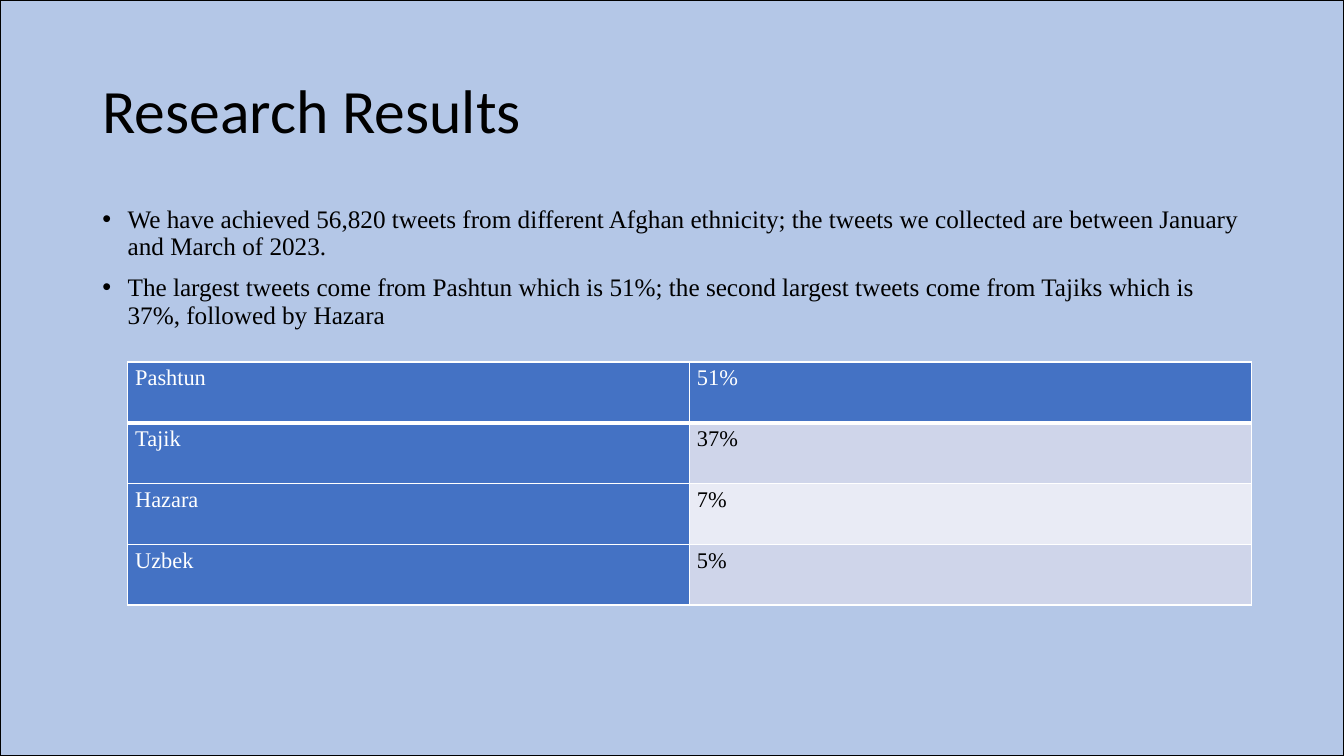
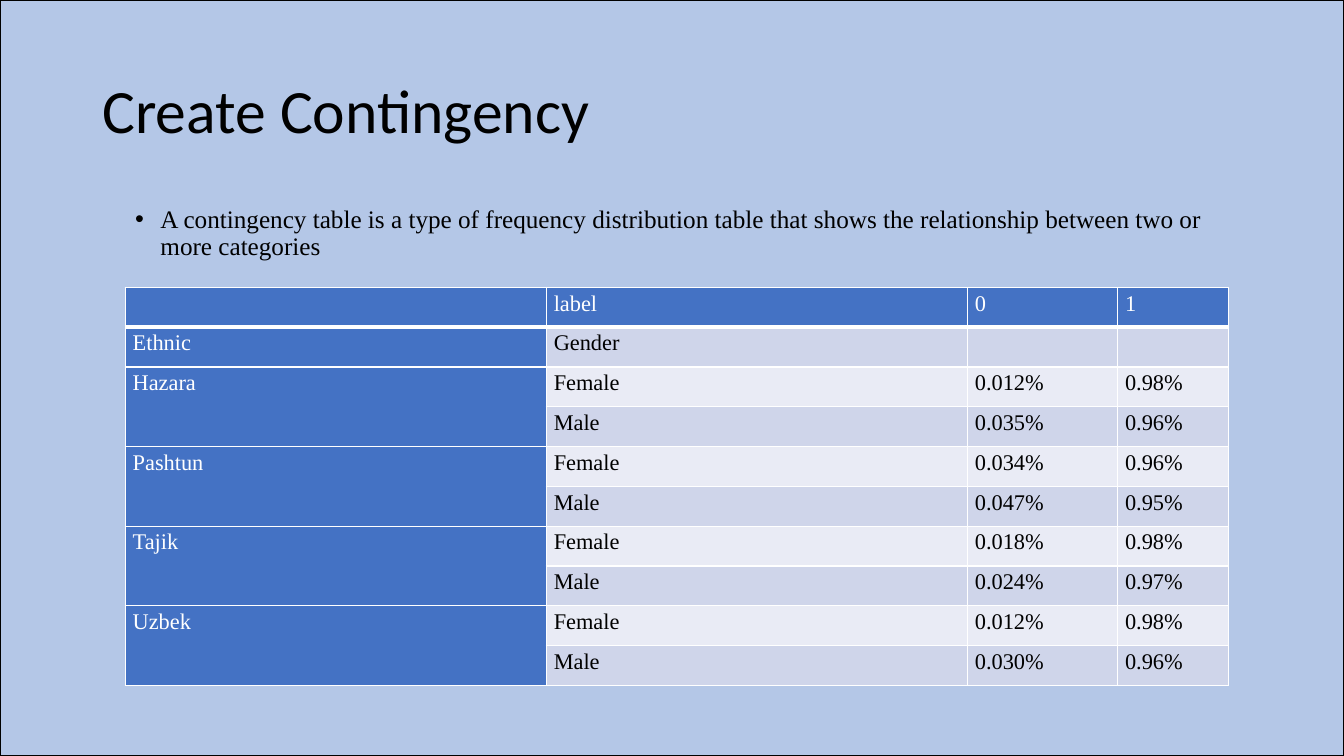
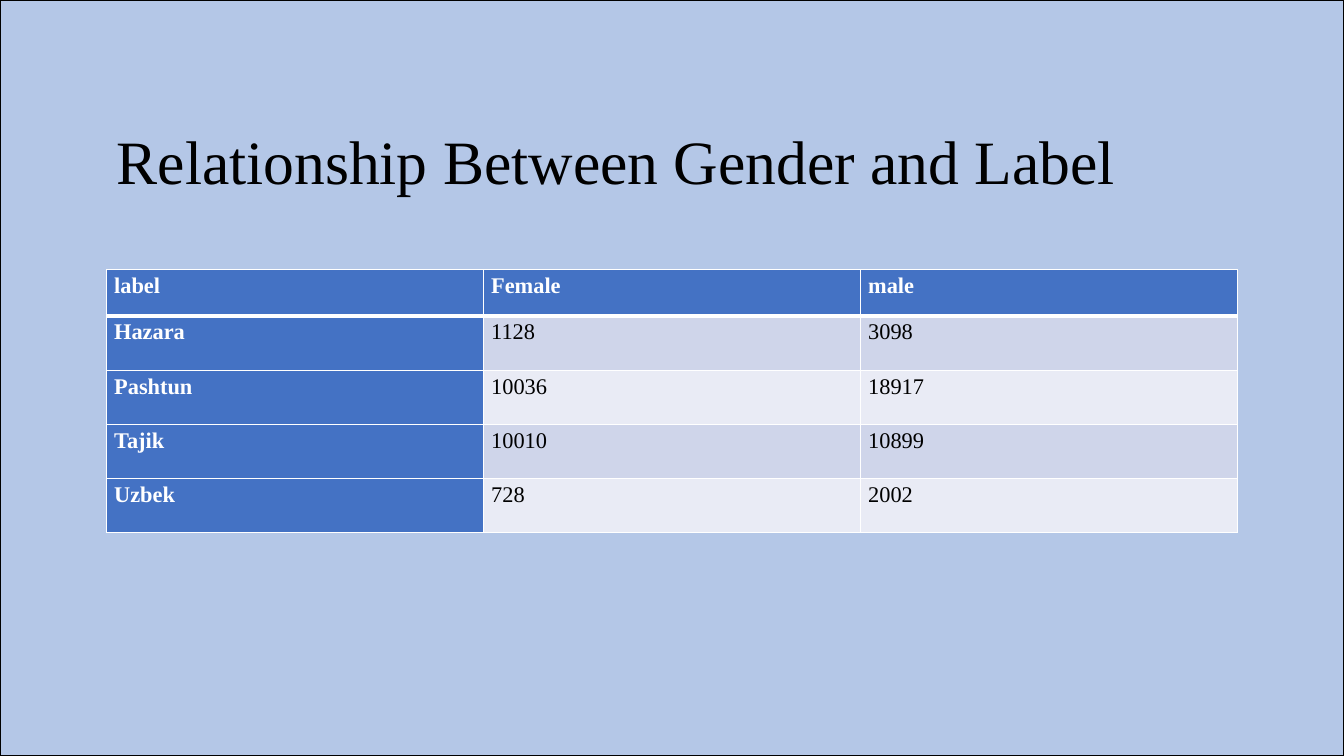
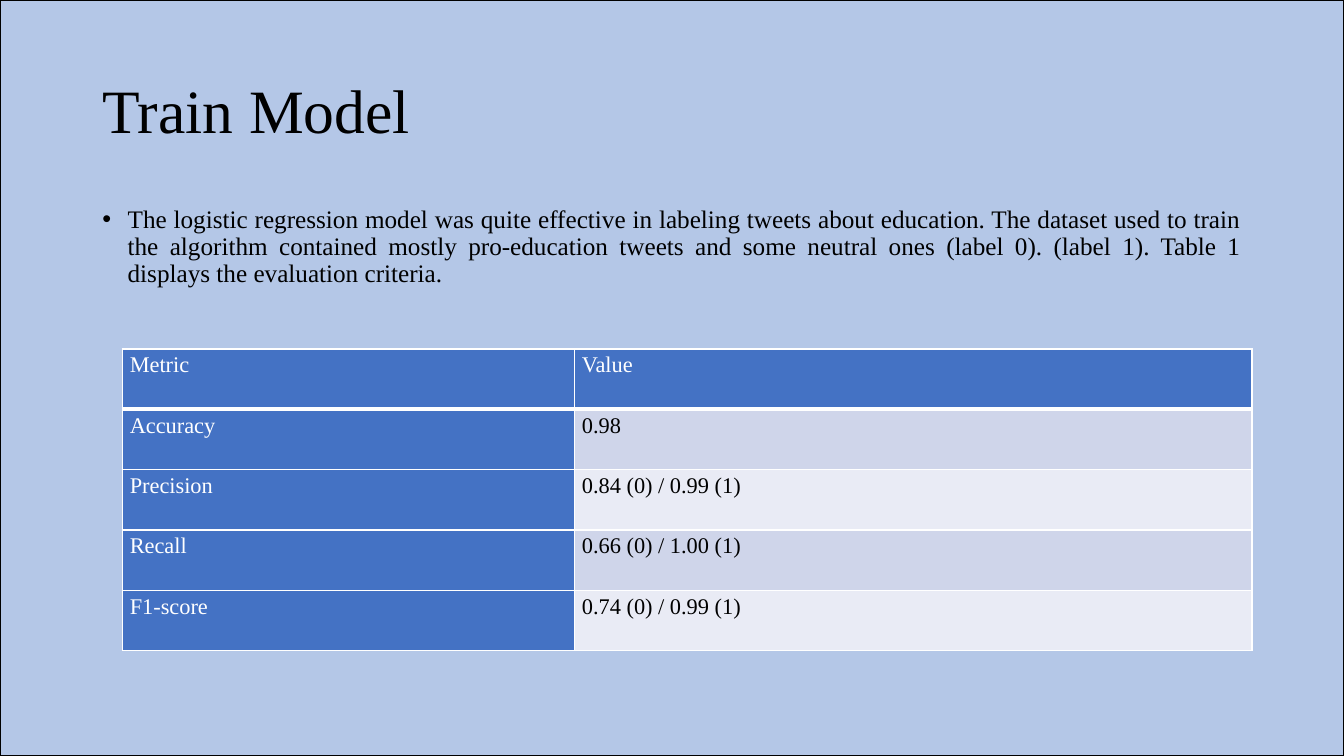
"""Build four slides on the ethnicity, gender and model results of the tweet study."""
from lxml import etree
from pptx import Presentation
from pptx.dml.color import RGBColor
from pptx.enum.shapes import MSO_SHAPE as Preset
from pptx.enum.text import MSO_ANCHOR as Anchor, MSO_AUTO_SIZE as AutoSize, PP_ALIGN as Align
from pptx.oxml import parse_xml
from pptx.oxml.ns import nsdecls, qn
from pptx.util import Pt

COLORS = {
    "backdrop": "B4C7E7",
    "text": "000000",
    "light": "FFFFFF",
    "header": "4472C4",
    "odd": "CFD5EA",
    "even": "E9EBF5",
}
SERIF = "Times New Roman"
SANS = "Calibri"
WIDTH, HEIGHT = 960, 540
TITLE_BOX = (66, 28.8, 828, 104.4)


def color(name):
    return RGBColor.from_string(COLORS[name])


class Deck:
    def __init__(self):
        self.prs = Presentation()
        self.prs.slide_width, self.prs.slide_height = Pt(WIDTH), Pt(HEIGHT)
        self.slide = None

    def add_slide(self, title, layout=1, font=SERIF, box=TITLE_BOX):
        self.slide = self.prs.slides.add_slide(self.prs.slide_layouts[layout])
        heading = self.slide.shapes.title
        backdrop = self.slide.shapes.add_shape(
            Preset.RECTANGLE, 0, 0, Pt(WIDTH), Pt(HEIGHT))
        backdrop.shadow.inherit = False
        backdrop.fill.solid()
        backdrop.fill.fore_color.rgb = color("backdrop")
        backdrop.line.color.rgb = color("text")
        backdrop.line.width = Pt(1)
        heading._element.addprevious(backdrop._element)
        frame = self.place(heading, box, Anchor.MIDDLE)
        self.add_text(frame.paragraphs[0], title, 44, font=font, spacing=0.9)

    def place(self, holder, box, anchor):
        holder.left, holder.top, holder.width, holder.height = map(Pt, box)
        frame = holder.text_frame
        frame.word_wrap = True
        frame.auto_size = AutoSize.NONE
        frame.vertical_anchor = anchor
        return frame

    def add_text(self, paragraph, text, size, ink="text", font=SERIF, bold=False,
                 align=Align.LEFT, spacing=1.15):
        paragraph.alignment = align
        paragraph.line_spacing = spacing
        paragraph.space_before = Pt(0)
        run = paragraph.add_run()
        run.text = text
        run.font.size = Pt(size)
        run.font.name = font
        run.font.bold = bold
        run.font.color.rgb = color(ink)

    def bullets(self, box, points, align=Align.LEFT):
        frame = self.place(self.slide.placeholders[1], box, Anchor.TOP)
        for i, point in enumerate(points):
            paragraph = frame.add_paragraph() if i else frame.paragraphs[0]
            props = paragraph._p.get_or_add_pPr()
            props.set("marL", str(Pt(18)))
            props.set("indent", str(Pt(-18)))
            etree.SubElement(props, qn("a:buFont")).set("typeface", "Arial")
            etree.SubElement(props, qn("a:buChar")).set("char", "•")
            self.add_text(paragraph, point, 18, align=align, spacing=0.9)
            if i:
                paragraph.space_before = Pt(10)

    def table(self, left, top, widths, heights, rows, bold=False, align=Align.LEFT):
        grid = self.slide.shapes.add_table(
            len(rows), len(widths), Pt(left), Pt(top),
            Pt(sum(widths)), Pt(sum(heights))).table
        grid.first_row = grid.horz_banding = False
        for column, width in zip(grid.columns, widths):
            column.width = Pt(width)
        for r, (row, height) in enumerate(zip(rows, heights)):
            grid.rows[r].height = Pt(height)
            for c, text in enumerate(row):
                cell = grid.cell(r, c)
                is_header = r == 0 or c == 0
                cell.margin_left = cell.margin_right = Pt(5.4)
                cell.margin_top = cell.margin_bottom = 0
                cell.fill.solid()
                cell.fill.fore_color.rgb = color(
                    "header" if is_header else "odd" if r % 2 else "even")
                self.borders(cell, r)
                if text is None:
                    grid.cell(r - 1, c).merge(cell)
                elif text:
                    self.add_text(cell.text_frame.paragraphs[0], text, 16,
                                  "light" if is_header else "text",
                                  bold=bold and is_header, align=align)

    def borders(self, cell, row):
        widths = {"L": 1, "R": 1, "T": 3 if row == 1 else 1, "B": 1 if row else 3}
        for i, (side, width) in enumerate(widths.items()):
            cell._tc.get_or_add_tcPr().insert(i, parse_xml(
                f'<a:ln{side} {nsdecls("a")} w="{Pt(width)}"><a:solidFill>'
                f'<a:srgbClr val="{COLORS["light"]}"/></a:solidFill></a:ln{side}>'))


def main():
    deck = Deck()

    deck.add_slide("Research Results", font=SANS)
    deck.bullets((66, 144, 828, 104.4), [
        "We have achieved 56,820 tweets from different Afghan ethnicity; the tweets "
        "we collected are between January and March of 2023.",
        "The largest tweets come from Pashtun which is 51%; the second largest tweets "
        "come from Tajiks which is 37%, followed by Hazara",
    ])
    deck.table(91.2, 258.6, [401.3] * 2, [43.4] * 4, [
        ("Pashtun", "51%"),
        ("Tajik", "37%"),
        ("Hazara", "7%"),
        ("Uzbek", "5%"),
    ], align=Align.JUSTIFY)

    deck.add_slide("Create Contingency", font=SANS)
    deck.bullets((89.4, 144, 787.6, 51), [
        "A contingency table is a type of frequency distribution table that shows "
        "the relationship between two or more categories",
    ])
    deck.table(89.4, 205.3, [300.8, 300.8, 107.3, 79], [28.45] * 10, [
        ("", "label", "0", "1"),
        ("Ethnic", "Gender", "", ""),
        ("Hazara", "Female", "0.012%", "0.98%"),
        (None, "Male", "0.035%", "0.96%"),
        ("Pashtun", "Female", "0.034%", "0.96%"),
        (None, "Male", "0.047%", "0.95%"),
        ("Tajik", "Female", "0.018%", "0.98%"),
        (None, "Male", "0.024%", "0.97%"),
        ("Uzbek", "Female", "0.012%", "0.98%"),
        (None, "Male", "0.030%", "0.96%"),
    ])

    deck.add_slide("Relationship Between Gender and Label", layout=5,
                   box=(76.2, 81.2, 807.9, 72))
    deck.table(76.2, 192.6, [269.3] * 3, [33.2] + [38.7] * 4, [
        ("label", "Female", "male"),
        ("Hazara", "1128", "3098"),
        ("Pashtun", "10036", "18917"),
        ("Tajik", "10010", "10899"),
        ("Uzbek", "728", "2002"),
    ], bold=True)

    deck.add_slide("Train Model")
    deck.bullets((66, 144, 828, 81.4), [
        "The logistic regression model was quite effective in labeling tweets about "
        "education. The dataset used to train the algorithm contained mostly "
        "pro-education tweets and some neutral ones (label 0). (label 1). Table 1 "
        "displays the evaluation criteria.",
    ], align=Align.JUSTIFY)
    deck.table(87.3, 249.3, [323, 484], [43.1] * 5, [
        ("Metric", "Value"),
        ("Accuracy", "0.98"),
        ("Precision", "0.84 (0) / 0.99 (1)"),
        ("Recall", "0.66 (0) / 1.00 (1)"),
        ("F1-score", "0.74 (0) / 0.99 (1)"),
    ])

    deck.prs.save("out.pptx")


if __name__ == "__main__":
    main()
